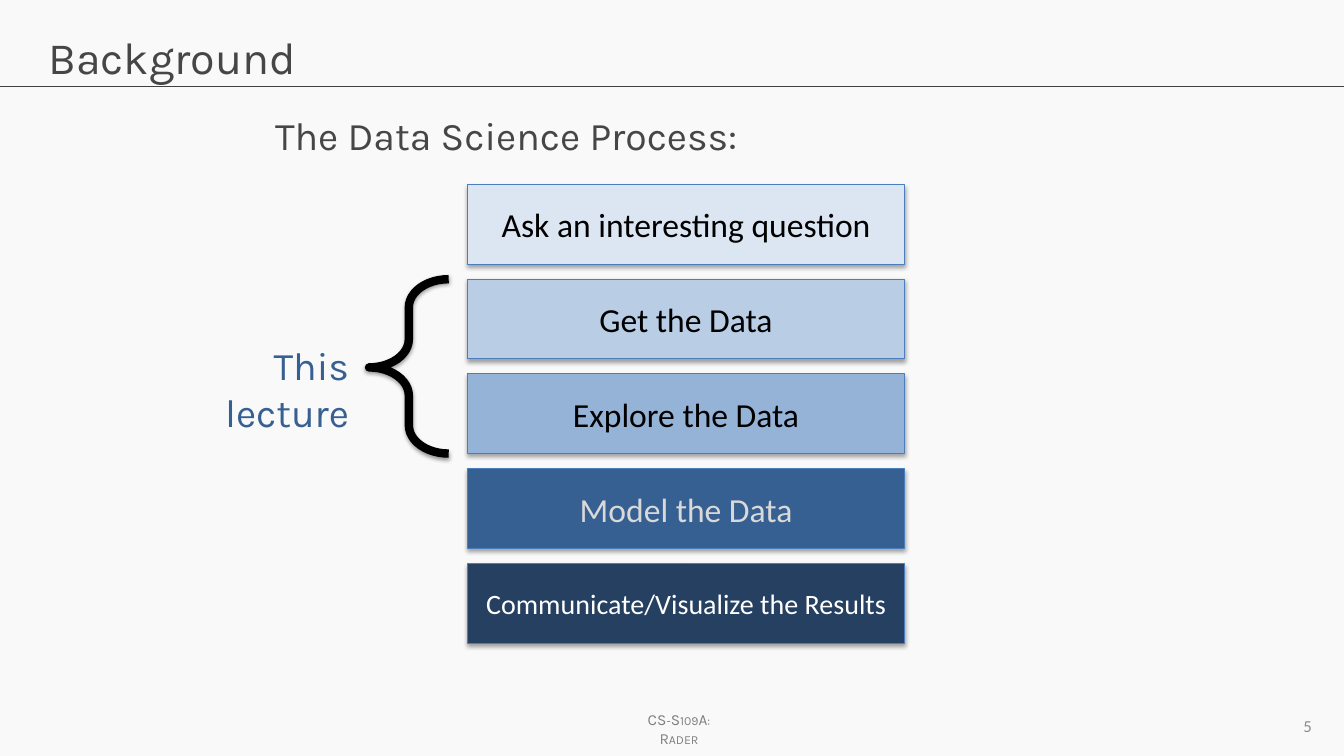
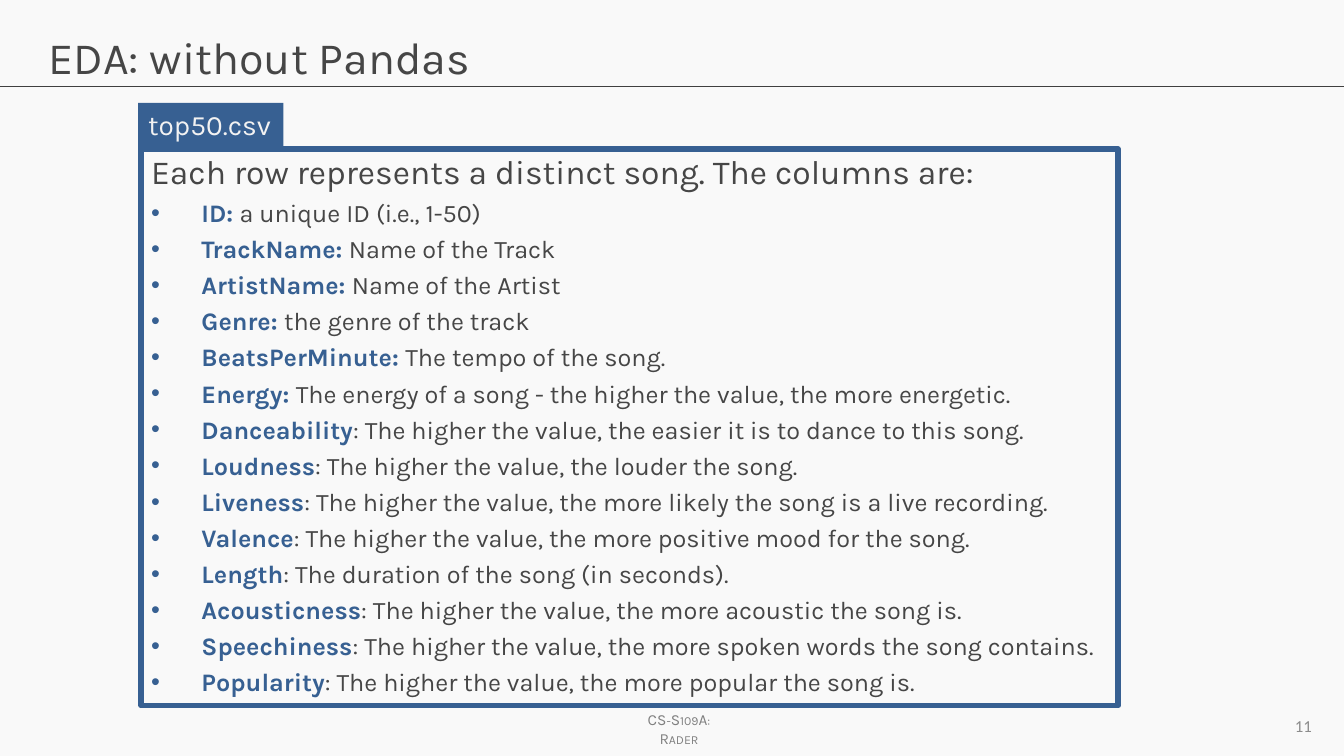
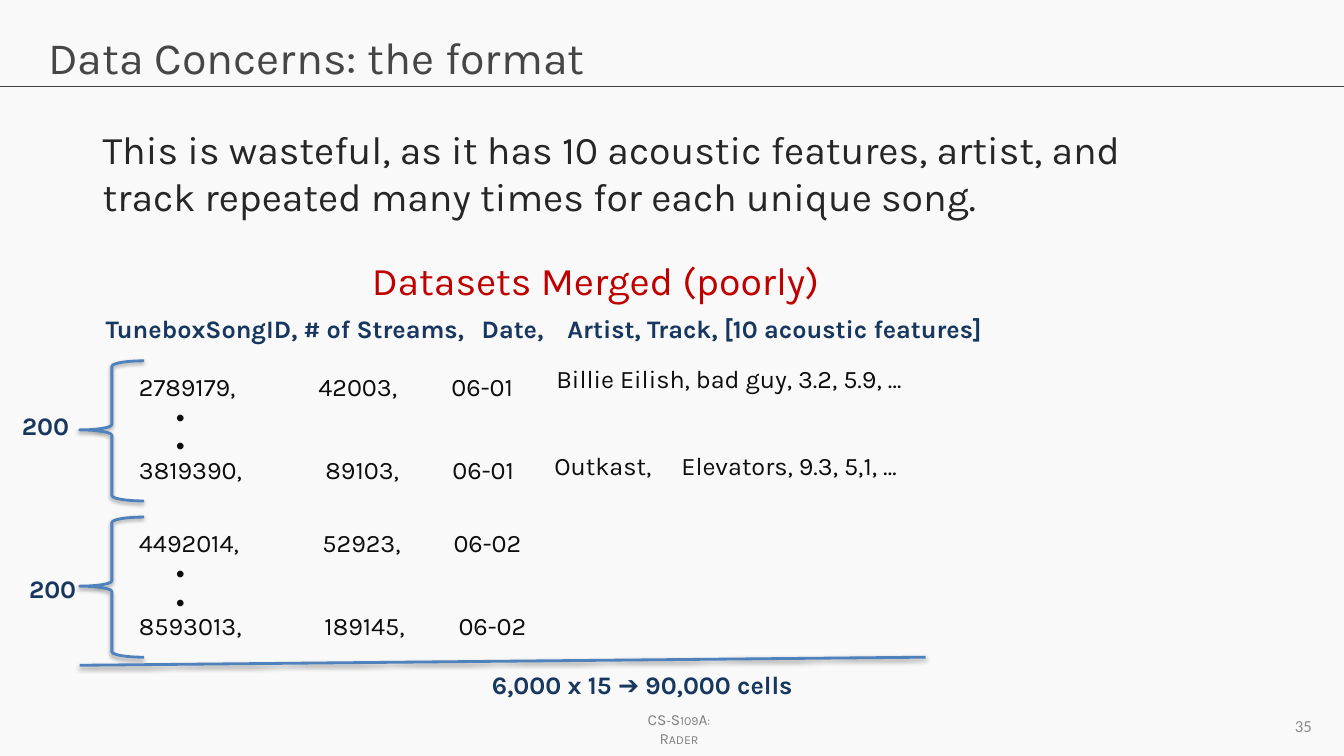
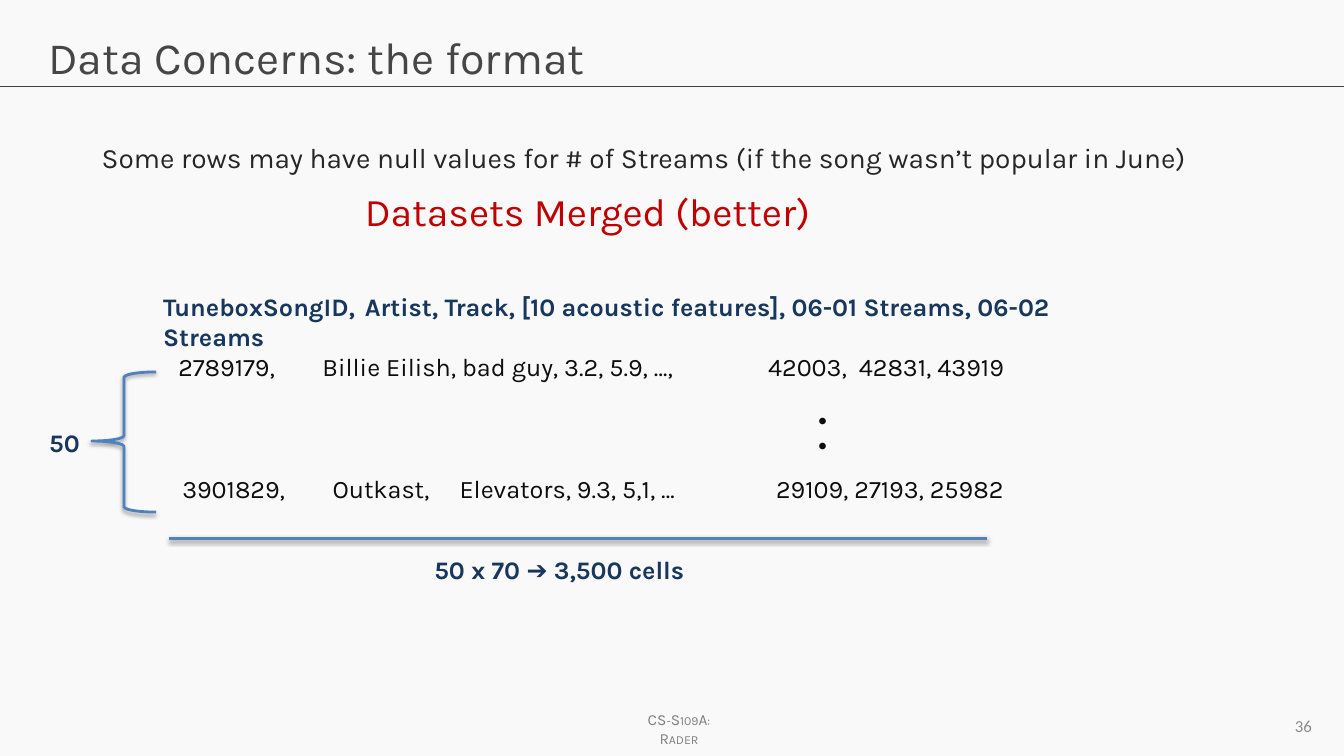
from lxml import etree
from pptx import Presentation
from pptx import util as u
from pptx.dml import color as dml
from pptx.enum import shapes, text
from pptx.oxml import ns

KARLA, CALIBRI = "Karla", "Calibri"
PAPER, GREY, INK, BODY = "F9F9F9", "464646", "0D0D0D", "262626"
BLUE, NAVY, ACCENT, RED = "376092", "17375E", "4F81BD", "C00000"
LEFT, CENTER, RIGHT = text.PP_ALIGN.LEFT, text.PP_ALIGN.CENTER, text.PP_ALIGN.RIGHT
TOP, MIDDLE = text.MSO_ANCHOR.TOP, text.MSO_ANCHOR.MIDDLE
INSET = 0.1  # side margin of a text box, inches


def rgb(value):
    return dml.RGBColor.from_string(value)


def inches(*lengths):
    return [u.Inches(length) for length in lengths]


def child(parent, tag, **attributes):
    return etree.SubElement(parent, ns.qn(tag), attributes)


def set_effects(shape, shadow=None):
    """Call after fill and line; shadow is (opacity percent, distance in points)."""
    effects = child(shape._element.spPr, "a:effectLst")
    if shadow:
        opacity, distance = shadow
        outer = child(effects, "a:outerShdw", blurRad=str(u.Pt(3.1)),
                      dist=str(u.Pt(distance)), dir="5400000", rotWithShape="0")
        tint = child(outer, "a:srgbClr", val="000000")
        child(tint, "a:alpha", val=str(opacity * 1000))


def style(target, size, color, font=KARLA, bold=False):
    """Format a paragraph's or a run's font."""
    target.font.size = u.Pt(size)
    target.font.name = font
    target.font.bold = bold
    target.font.color.rgb = rgb(color)


def fill_text(shape, words, size, color, font=KARLA, bold=False, align=LEFT,
              anchor=TOP, wrap=True):
    frame = shape.text_frame
    frame.text = words
    frame.word_wrap = wrap
    frame.auto_size = text.MSO_AUTO_SIZE.NONE
    frame.vertical_anchor = anchor
    para = frame.paragraphs[0]
    para.alignment = align
    for span in para.runs:
        style(span, size, color, font, bold)
    return frame


def write(page, box, words, size, color, **options):
    return fill_text(page.shapes.add_textbox(*inches(*box)), words, size, color, **options)


def write_columns(page, left, top, width, words, stops, color=INK, bold=False):
    """One row of text; stops are the page positions of the later columns."""
    frame = write(page, (left, top, width, 0.59), words, 18, color, bold=bold)
    tabs = child(frame.paragraphs[0]._p.get_or_add_pPr(), "a:tabLst")
    for stop in stops:
        child(tabs, "a:tab", pos=str(u.Inches(stop - left - INSET)), algn="l")


def draw_shape(page, kind, box, fill=None, line=None, weight=0.75, shadow=None):
    shape = page.shapes.add_shape(kind, *inches(*box))
    if fill:
        shape.fill.solid()
        shape.fill.fore_color.rgb = rgb(fill)
    else:
        shape.fill.background()
    if line:
        shape.line.color.rgb = rgb(line)
        shape.line.width = u.Pt(weight)
    else:
        shape.line.fill.background()
    set_effects(shape, shadow)
    return shape


def draw_brace(page, box, adjustments, line, weight):
    brace = draw_shape(page, shapes.MSO_SHAPE.LEFT_BRACE, box, line=line,
                       weight=weight, shadow=(38, 1.6))
    for index, value in enumerate(adjustments):
        brace.adjustments[index] = value


def draw_line(page, ends, color, weight, shadow=None):
    line = page.shapes.add_connector(shapes.MSO_CONNECTOR.STRAIGHT, *inches(*ends))
    line.line.color.rgb = rgb(color)
    line.line.width = u.Pt(weight)
    set_effects(line, shadow)


def add_page(deck, title, number):
    """Title, rule, footer and number shared by every slide."""
    page = deck.slides.add_slide(deck.slide_layouts[5])
    heading = page.shapes.title
    heading.left, heading.top, heading.width, heading.height = inches(0.38, 0.24, 12.57, 0.84)
    fill_text(heading, title, 32, GREY)
    draw_line(page, (0, 0.86, 13.33, 0.86), "404040", 0.75)
    footer = write(page, (6.12, 7, 1.23, 0.29), "CS-S109A: Rader", 11, "808080", align=CENTER)
    footer.margin_left = footer.margin_right = u.Inches(0.2)
    footer.paragraphs[0].runs[0]._r.get_or_add_rPr().set("cap", "small")
    write(page, (10, 7, 3.11, 0.4), str(number), 12, "8C8C8C", font=CALIBRI,
          align=RIGHT, anchor=MIDDLE)
    return page


# Process slide
STAGES = [
    ("Ask an interesting question", 24, "DCE6F2", "000000"),
    ("Get the Data", 24, "B9CDE5", "000000"),
    ("Explore the Data", 24, "95B3D7", "000000"),
    ("Model the Data", 24, BLUE, "D9D9D9"),
    ("Communicate/Visualize the Results", 20, "254061", "FFFFFF"),
]


def add_stages(page, left, top, width, height, pitch):
    for index, (words, size, fill, color) in enumerate(STAGES):
        stage = draw_shape(page, shapes.MSO_SHAPE.RECTANGLE,
                           (left, top + index * pitch, width, height),
                           fill, "4B7EBC", shadow=(35, 1.8))
        fill_text(stage, words, size, color, font=CALIBRI, align=CENTER, anchor=MIDDLE)


def build_process(deck):
    page = add_page(deck, "Background", 5)
    write(page, (2.63, 1.05, 4.84, 0.68), "The Data Science Process:", 28, GREY)
    add_stages(page, 4.64, 1.83, 4.33, 0.79, 0.94)
    draw_brace(page, (3.66, 2.77, 0.79, 1.73), (0.355, 0.506), "000000", 6)
    write(page, (1.44, 3.34, 2.12, 1.05), "This lecture", 28, BLUE, align=RIGHT)


# Column list slide
COLUMNS = [
    ("ID: ", "a unique ID (i.e., 1-50)"),
    ("TrackName: ", "Name of the Track"),
    ("ArtistName: ", "Name of the Artist"),
    ("Genre: ", "the genre of the track"),
    ("BeatsPerMinute: ", "The tempo of the song."),
    ("Energy: ", "The energy of a song - the higher the value, the more energetic."),
    ("Danceability", ": The higher the value, the easier it is to dance to this song."),
    ("Loudness", ": The higher the value, the louder the song."),
    ("Liveness", ": The higher the value, the more likely the song is a live recording."),
    ("Valence", ": The higher the value, the more positive mood for the song."),
    ("Length", ": The duration of the song (in seconds)."),
    ("Acousticness", ": The higher the value, the more acoustic the song is."),
    ("Speechiness", ": The higher the value, the more spoken words the song contains."),
    ("Popularity", ": The higher the value, the more popular the song is."),
]


def add_bullet(frame, name, meaning):
    para = frame.add_paragraph()
    properties = para._p.get_or_add_pPr()
    properties.set("marL", str(u.Inches(0.5)))
    properties.set("indent", str(u.Inches(-0.5)))
    child(properties, "a:buFont", typeface="Arial")
    child(properties, "a:buChar", char="•")
    para.space_before = u.Pt(4.2)
    for words, color, bold in ((name, BLUE, True), (meaning, GREY, False)):
        span = para.add_run()
        span.text = words
        style(span, 18, color, bold=bold)


def add_file_card(page, left, top, width, height):
    label = draw_shape(page, shapes.MSO_SHAPE.RECTANGLE,
                       (left - 0.03, top - 0.46, 1.44, 0.46), BLUE)
    fill_text(label, "top50.csv", 20, "F2F2F2")
    draw_shape(page, shapes.MSO_SHAPE.RECTANGLE, (left, top, width, height),
               line=BLUE, weight=4)
    frame = write(page, (left, top - 0.03, 11.09, 5.34),
                  "Each row represents a distinct song. The columns are:", 24, GREY)
    for name, meaning in COLUMNS:
        add_bullet(frame, name, meaning)


def build_columns(deck):
    page = add_page(deck, "EDA: without Pandas", 11)
    add_file_card(page, 1.4, 1.48, 9.69, 5.52)


# Merged data slides
def add_dots(page, left, top, gap):
    for index in range(2):
        write(page, (left, top + index * gap, 0.32, 0.64), ".", 32, INK,
              font=CALIBRI, bold=True, wrap=False)


def add_count(page, left, top, count, shift, drop):
    """Brace with its count placed shift to the left and drop below its corner."""
    draw_brace(page, (left, top, 0.64, 1.39), (0.083, 0.493), ACCENT, 2)
    write(page, (left - shift, top + drop, 0.8, 0.59), count, 18, NAVY, bold=True)


def add_day(page, left, top, first, last, shift, drop):
    """Bracketed rows of one day; each row is its text and column stops."""
    for (words, stops), offset in ((first, 0.05), (last, 0.88)):
        write_columns(page, left + 0.49, top + offset, 4.14, words, stops)
    add_dots(page, left + 0.84, top + 0.11, 0.28)
    add_count(page, left, top, "200", shift, drop)


def add_total(page, ends, box, words):
    draw_line(page, ends, ACCENT, 2, shadow=(38, 1.6))
    write(page, box, words, 18, NAVY, bold=True)


def build_poor_merge(deck):
    page = add_page(deck, "Data Concerns: the format", 35)
    write(page, (0.92, 1.19, 10.97, 1.1),
          "This is wasteful, as it has 10 acoustic features, artist, and track "
          "repeated many times for each unique song.", 28, BODY)
    write(page, (3.59, 2.49, 4.77, 0.55), "Datasets Merged (poorly)", 28, RED)
    write_columns(page, 0.95, 3.06, 10.5,
                  "TuneboxSongID,\t# of Streams,\tDate,\tArtist, Track, [10 acoustic features]",
                  (3.01, 4.78, 5.63), NAVY, True)
    add_day(page, 0.79, 3.58, ("2789179,\t42003,\t06-01", (3.16, 4.48)),
            ("3819390,\t89103,\t06-01", (3.23, 4.49)), 0.67, 0.44)
    add_day(page, 0.79, 5.13, ("4492014,\t52923,\t06-02", (3.2, 4.5)),
            ("8593013,\t189145,\t06-02", (3.22, 4.55)), 0.6, 0.51)
    write_columns(page, 5.42, 3.55, 5.47, "Billie Eilish, bad guy, 3.2, 5.9, …", ())
    write_columns(page, 5.4, 4.42, 5.47, "Outkast,\tElevators, 9.3, 5,1, …", (6.76,))
    add_total(page, (0.79, 6.6, 9.18, 6.52), (4.78, 6.59, 3.93, 0.59),
              "6,000 x 15 ➔ 90,000 cells")


def build_better_merge(deck):
    page = add_page(deck, "Data Concerns: the format", 36)
    write(page, (0.91, 1.34, 12.19, 0.46),
          "Some rows may have null values for # of Streams "
          "(if the song wasn’t popular in June)", 20, BODY)
    write(page, (3.52, 1.81, 5.77, 0.55), "Datasets Merged (better)", 28, RED)
    write_columns(page, 1.52, 2.84, 10.04,
                  "TuneboxSongID,\tArtist, Track, [10 acoustic features], "
                  "06-01 Streams, 06-02 Streams", (3.5,), NAVY, True)
    write_columns(page, 1.67, 3.44, 9.08,
                  "2789179,\tBillie Eilish, bad guy, 3.2, 5.9, …,\t42003,\t42831, 43919",
                  (3.2, 7.62, 8.52))
    write_columns(page, 1.71, 4.65, 8.86,
                  "3901829,\tOutkast,\tElevators, 9.3, 5,1, …\t29109, 27193, 25982",
                  (3.3, 4.56, 7.7))
    add_dots(page, 8, 3.72, 0.25)
    add_count(page, 0.91, 3.69, "50", 0.52, 0.5)
    add_total(page, (1.68, 5.34, 9.79, 5.34), (4.21, 5.45, 4.4, 0.59),
              "50 x 70 ➔ 3,500 cells")


def main():
    deck = Presentation()
    deck.slide_width, deck.slide_height = inches(13.33, 7.5)
    backdrop = deck.slide_master.background.fill
    backdrop.solid()
    backdrop.fore_color.rgb = rgb(PAPER)
    for build in (build_process, build_columns, build_poor_merge, build_better_merge):
        build(deck)
    deck.save("out.pptx")


if __name__ == "__main__":
    main()
